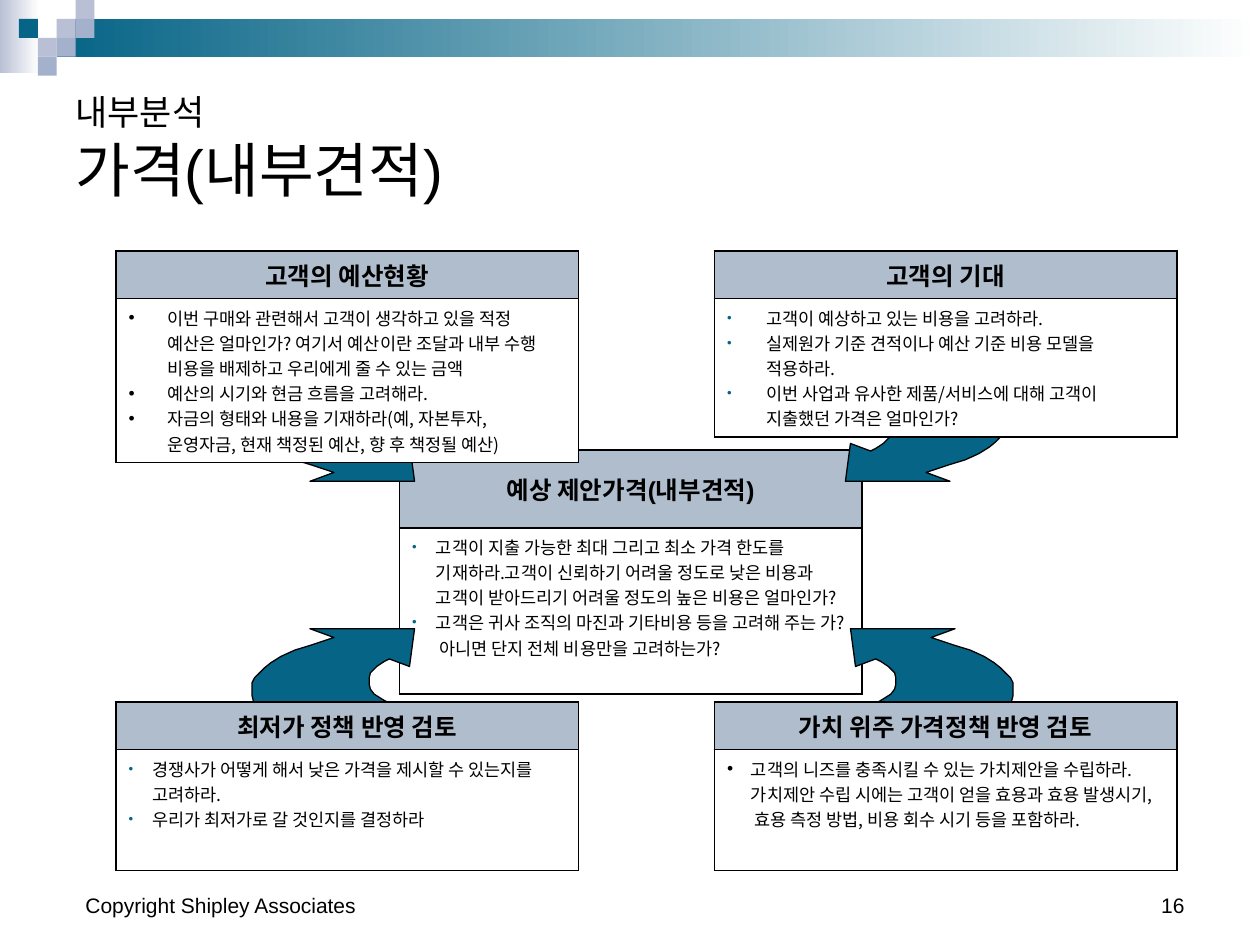
import pptx
import pptx.util
import pptx.dml.color
import pptx.enum.shapes
import pptx.enum.text
import pptx.oxml.ns
from dataclasses import dataclass
from lxml import etree
from pptx.util import Inches

ALIGN = pptx.enum.text.PP_ALIGN
ANCHOR = pptx.enum.text.MSO_ANCHOR
RECTANGLE = pptx.enum.shapes.MSO_SHAPE.RECTANGLE


@dataclass(frozen=True)
class Theme:
    teal: str = "066486"
    lilac: str = "B9C0D5"
    steel: str = "A4B1CC"
    header: str = "B0BDCD"
    white: str = "FFFFFF"
    black: str = "000000"
    latin: str = "Arial"
    korean: str = "Noto Sans CJK KR"
    kicker: int = 20
    title: int = 34
    heading: int = 14
    footer: int = 12
    body: int = 10


THEME = Theme()

# Curved arrow from top left to centre, in hundredths of an inch
ARROW_SIZE = (129, 83)
ARROW = [(19, 0), (14, 4), (8, 13), (4, 20), (1, 26), (0, 30), (0, 40), (2, 44),
         (5, 47), (10, 52), (15, 56), (23, 61), (34, 66), (47, 70), (65, 76),
         (46, 83), (129, 83), (125, 53), (109, 59), (105, 57), (99, 53), (94, 48),
         (93, 44), (93, 39), (94, 35), (97, 31), (105, 26), (117, 20)]


def color(value):
    return pptx.dml.color.RGBColor.from_string(value)


def add_xml(parent, tag, **attributes):
    return etree.SubElement(parent, pptx.oxml.ns.qn(tag), attributes)


def paint(fill, value):
    fill.solid()
    fill.fore_color.rgb = color(value)


def add_span(para, text, size, latin=THEME.latin, bold=False):
    span = para.add_run()
    span.text = text
    formats = {"size": pptx.util.Pt(size), "name": latin, "bold": bold}
    for name, value in formats.items():
        setattr(span.font, name, value)
    span.font.color.rgb = color(THEME.black)
    add_xml(span.font._element, "a:ea", typeface=THEME.korean)


def add_text_box(page, box):
    frame = page.shapes.add_textbox(*map(Inches, box)).text_frame
    frame.word_wrap = True
    frame.vertical_anchor = ANCHOR.BOTTOM
    return frame.paragraphs[0]


def add_block(page, box, fill, fade_to=None):
    block = page.shapes.add_shape(RECTANGLE, *map(Inches, box))
    block.shadow.inherit = False
    block.line.fill.background()
    if fade_to is None:
        paint(block.fill, fill)
        return
    block.fill.gradient()
    block.fill.gradient_angle = 0
    for stop, value in zip(block.fill.gradient_stops, (fill, fade_to)):
        stop.color.rgb = color(value)


def add_banner(page, box):
    """Fading bands with a mosaic of small squares."""
    left, top, width, _ = box
    cell = 0.15
    add_block(page, (left, top, 0.31, 0.58), THEME.lilac, THEME.white)
    add_block(page, (left + 0.45, top + cell, width - 0.45, 0.3), THEME.teal, THEME.white)
    mosaic = [(3, 1, THEME.lilac), (4, 0, THEME.lilac), (4, 1, THEME.steel),
              (2, 2, THEME.lilac), (1, 1, THEME.teal), (3, 2, THEME.steel),
              (2, 3, THEME.steel)]
    for column, row, fill in mosaic:
        add_block(page, (left + column * cell, top + row * cell, cell, cell), fill)


def add_title(page, box):
    para = add_text_box(page, box)
    add_span(para, "내부분석", THEME.kicker)
    para.add_line_break()
    add_span(para, "가격(내부견적)", THEME.title)


def add_footer(page, box):
    left, top, width, height = box
    para = add_text_box(page, (left, top, 3.17, height))
    add_span(para, "Copyright Shipley Associates", THEME.footer)
    para = add_text_box(page, (left + width - 2.33, top, 2.33, height))
    para.alignment = ALIGN.RIGHT
    add_span(para, "16", THEME.footer)


def add_arrow(page, left, top, flip_x, flip_y):
    width, height = ARROW_SIZE
    points = [(round(left * 100) + (width - x if flip_x else x),
               round(top * 100) + (height - y if flip_y else y)) for x, y in ARROW]
    builder = page.shapes.build_freeform(*points[0], scale=Inches(0.01))
    builder.add_line_segments(points[1:], close=True)
    arrow = builder.convert_to_shape()
    arrow.shadow.inherit = False
    paint(arrow.fill, THEME.teal)
    arrow.line.color.rgb = color(THEME.black)
    arrow.line.width = pptx.util.Pt(0.75)


def style_cell(cell, fill):
    props = cell._tc.get_or_add_tcPr()
    for side in ("L", "R", "T", "B"):
        line = add_xml(props, f"a:ln{side}", w=str(pptx.util.Pt(1)))
        add_xml(add_xml(line, "a:solidFill"), "a:srgbClr", val=THEME.black)
    paint(cell.fill, fill)


def add_bullet(para, indent, tinted):
    props = para._p.get_or_add_pPr()
    props.set("marL", str(Inches(indent)))
    props.set("indent", str(-Inches(indent)))
    if tinted:
        add_xml(add_xml(props, "a:buClr"), "a:srgbClr", val=THEME.teal)
        add_xml(props, "a:buSzPct", val="75000")
    add_xml(props, "a:buFont", typeface=THEME.latin)
    add_xml(props, "a:buChar", char="•")


def add_card(page, box, heading, points, indent, tinted, header=0.38):
    """Two-row table: heading above bulleted questions."""
    table = page.shapes.add_table(2, 1, *map(Inches, box)).table
    table.first_row = table.horz_banding = False
    for row, height in zip(table.rows, (header, box[3] - header)):
        row.height = Inches(height)
    head, body = table.cell(0, 0), table.cell(1, 0)
    style_cell(head, THEME.header)
    style_cell(body, THEME.white)
    head.vertical_anchor = ANCHOR.MIDDLE
    body.margin_right = Inches(0.2)
    para = head.text_frame.paragraphs[0]
    para.alignment = ALIGN.CENTER
    add_span(para, heading, THEME.heading, bold=True)
    frame = body.text_frame
    for index, text in enumerate(points):
        para = frame.add_paragraph() if index else frame.paragraphs[0]
        add_bullet(para, indent, tinted)
        add_span(para, text, THEME.body, THEME.korean)


def add_price_map(page, box):
    """Central price card fed by four corner cards."""
    left, top, width, _ = box
    card = 3.67
    right, low = left + width - card, top + 3.58
    add_card(page, (left + 2.25, top + 1.58, card, 1.94), "예상 제안가격(내부견적)", [
        "고객이 지출 가능한 최대 그리고 최소 가격 한도를 기재하라.고객이 신뢰하기 어려울 정도로 낮은 비용과 고객이 받아드리기 어려울 정도의 높은 비용은 얼마인가?",
        "고객은 귀사 조직의 마진과 기타비용 등을 고려해 주는 가? 아니면 단지 전체 비용만을 고려하는가?",
    ], 0.19, True, header=0.62)

    # Arrows, partly covered by the corner cards
    for x, y, flip_x, flip_y in [(1.08, 1, False, False), (5.79, 1, True, False),
                                 (1.08, 3, False, True), (5.83, 3, True, True)]:
        add_arrow(page, left + x, top + y, flip_x, flip_y)

    add_card(page, (left, top, card, 1.68), "고객의 예산현황", [
        "이번 구매와 관련해서 고객이 생각하고 있을 적정 예산은 얼마인가? 여기서 예산이란 조달과 내부 수행 비용을 배제하고 우리에게 줄 수 있는 금액",
        "예산의 시기와 현금 흐름을 고려해라.",
        "자금의 형태와 내용을 기재하라(예, 자본투자, 운영자금, 현재 책정된 예산, 향 후 책정될 예산)",
    ], 0.31, False)
    add_card(page, (right, low, card, 1.34), "가치 위주 가격정책 반영 검토", [
        "고객의 니즈를 충족시킬 수 있는 가치제안을 수립하라. 가치제안 수립 시에는 고객이 얻을 효용과 효용 발생시기, 효용 측정 방법, 비용 회수 시기 등을 포함하라.",
    ], 0.19, False)
    add_card(page, (left, low, card, 1.34), "최저가 정책 반영 검토", [
        "경쟁사가 어떻게 해서 낮은 가격을 제시할 수 있는지를 고려하라.",
        "우리가 최저가로 갈 것인지를 결정하라",
    ], 0.19, True)
    add_card(page, (right, top, card, 1.48), "고객의 기대", [
        "고객이 예상하고 있는 비용을 고려하라.",
        "실제원가 기준 견적이나 예산 기준 비용 모델을 적용하라.",
        "이번 사업과 유사한 제품/서비스에 대해 고객이 지출했던 가격은 얼마인가?",
    ], 0.31, True)


def main():
    deck = pptx.Presentation()
    deck.slide_width, deck.slide_height = Inches(10), Inches(7.5)
    page = deck.slides.add_slide(deck.slide_layouts[6])
    add_banner(page, (0, 0, 10, 0.6))
    add_footer(page, (0.58, 6.83, 8.92, 0.5))
    add_title(page, (0.5, 0.5, 9, 1.17))
    add_price_map(page, (0.92, 1.99, 8.42, 4.92))
    deck.save("out.pptx")


if __name__ == "__main__":
    main()
